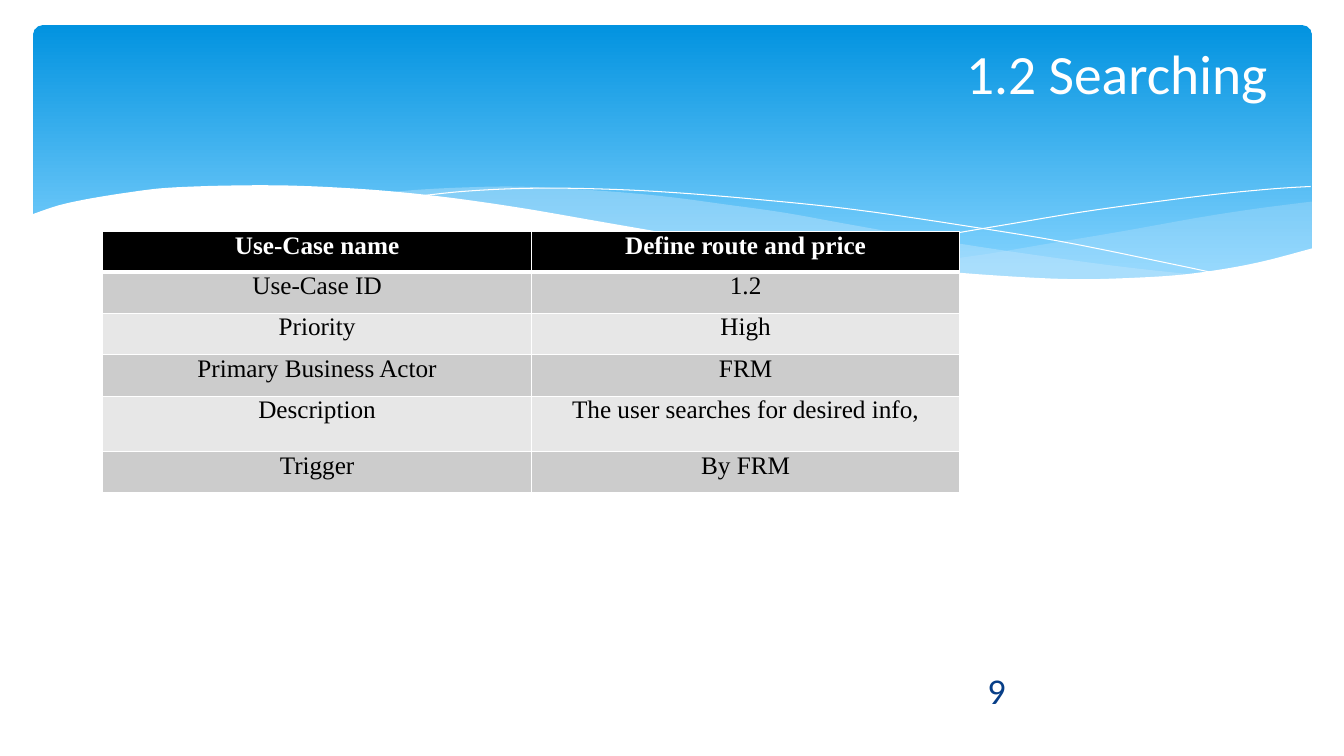
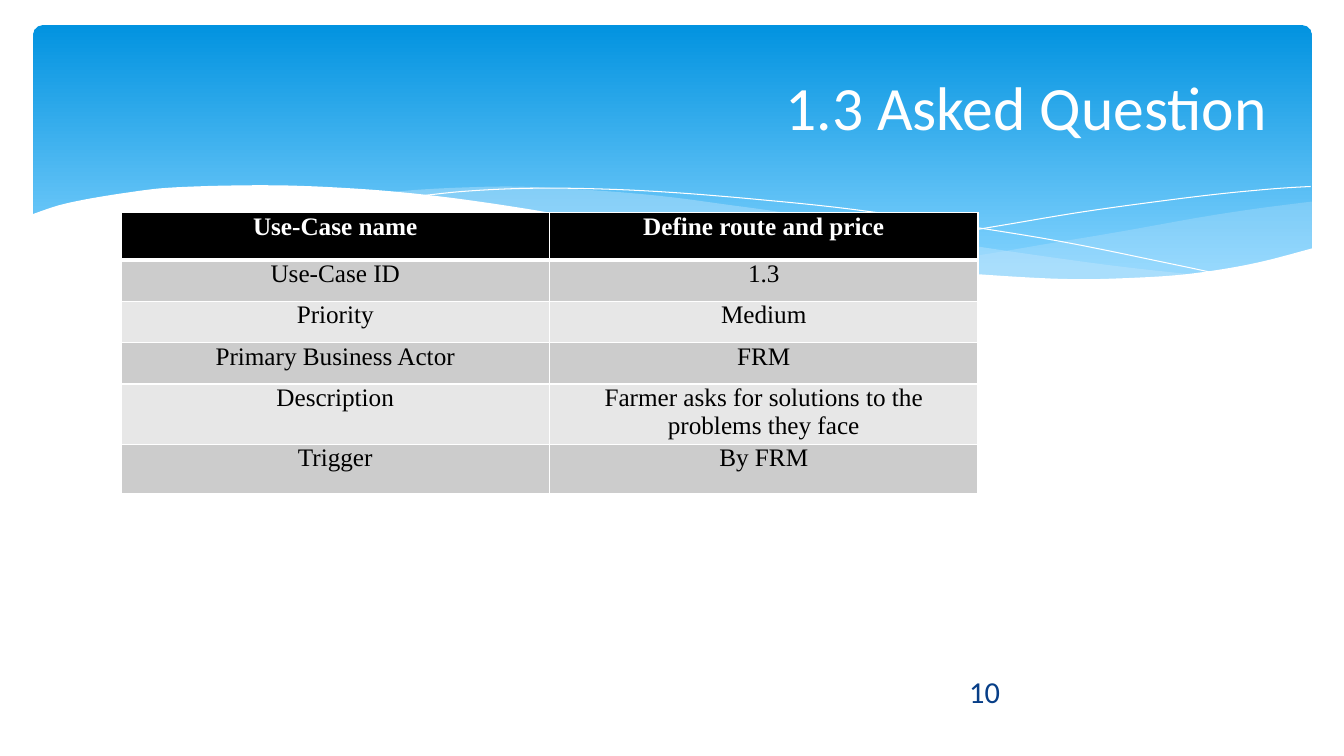
from lxml import etree
from pptx import Presentation
from pptx.dml.color import RGBColor
from pptx.enum.shapes import MSO_SHAPE
from pptx.enum.text import MSO_ANCHOR, PP_ALIGN
from pptx.oxml.ns import qn
from pptx.util import Emu, Pt

ROUNDED = MSO_SHAPE.ROUNDED_RECTANGLE
MIDDLE = MSO_ANCHOR.MIDDLE
CENTER, RIGHT = PP_ALIGN.CENTER, PP_ALIGN.RIGHT
PX = 9144  # 100 px to the inch

# Shared look
WHITE, BLACK, NAVY = "FFFFFF", "000000", "073E87"
BAND_TOP, BAND_END, MIST = "0293E0", "83D3FE", "C6E7FC"
ROW_FILLS = ("CCCCCC", "E7E7E7")
HEADING_FONT, TABLE_FONT = "Calibri", "Times New Roman"
COLUMN_WIDTH = 425

# Content
SLIDES = [
    {
        "title": "1.2 Searching", "title_size": 39.6, "title_height": 70,
        "number": "9", "number_size": 25.9, "number_box": (947, 661, 83, 48),
        "table_at": (102, 230), "row_heights": (40, 41, 41, 41, 55, 41),
        "rows": [
            ("Use-Case name", "Define route and price"),
            ("Use-Case ID", "1.2"),
            ("Priority", "High"),
            ("Primary Business Actor", "FRM"),
            ("Description", "The user searches for desired info,"),
            ("Trigger", "By FRM"),
        ],
    },
    {
        "title": "1.3 Asked Question", "title_size": 44, "title_height": 137,
        "number": "10", "number_size": 21.7, "number_box": (939, 666, 75, 40),
        "table_at": (120, 211), "row_heights": (47, 41, 41, 41, 55, 49),
        "rows": [
            ("Use-Case name", "Define route and price"),
            ("Use-Case ID", "1.3"),
            ("Priority", "Medium"),
            ("Primary Business Actor", "FRM"),
            ("Description", "Farmer asks for solutions to the problems they face"),
            ("Trigger", "By FRM"),
        ],
    },
]

# Waves: each outline is a chain of smooth curves, joined by straight edges
RIGHT_MIST = [
    [(1301, 200), (1246, 207), (1188, 216), (1110, 230), (1038, 242), (972, 253), (882, 265)],
    [(882, 265), (940, 271), (993, 275), (1041, 277), (1085, 278), (1126, 277),
     (1163, 274), (1196, 270), (1228, 265), (1257, 259), (1301, 247)],
]
LONG_MIST = [
    [(1190, 273), (1116, 265), (1034, 254), (941, 240), (839, 222), (778, 211), (721, 203),
     (669, 196), (619, 191), (560, 187), (506, 185), (459, 186), (418, 188), (382, 191)],
    [(382, 191), (431, 196), (483, 203), (539, 211), (599, 222), (706, 240), (802, 255),
     (887, 266), (963, 274), (1030, 277), (1090, 278), (1143, 277), (1190, 273)],
]
FALLING_LINE = [
    [(412, 195), (458, 190), (516, 187), (577, 187), (652, 190), (742, 197),
     (848, 208), (970, 226), (1060, 241), (1158, 261), (1210, 272)],
]
RISING_LINE = [
    [(818, 257), (870, 246), (927, 235), (997, 223), (1075, 210), (1155, 199),
     (1213, 192), (1267, 187), (1300, 185)],
]
WHITE_WAVE = [
    [(1303, 246), (1254, 259), (1213, 267), (1167, 273), (1116, 276), (1068, 277),
     (1015, 275), (944, 270), (863, 262), (772, 250), (671, 233), (596, 220),
     (521, 207), (453, 197), (390, 190), (333, 186), (282, 184), (235, 184), (194, 185),
     (158, 187), (127, 191), (101, 195), (79, 199), (61, 203), (48, 207), (31, 213)],
    [(31, 329), (1303, 329)],
]


def px(length):
    return Emu(round(length * PX))


def color(value):
    return RGBColor.from_string(value)


def smooth(points, steps=6):
    """Catmull-Rom samples through the points."""
    padded = [points[0], *points, points[-1]]
    samples = [points[0]]
    for before, start, end, after in zip(padded, padded[1:], padded[2:], padded[3:]):
        for step in range(1, steps + 1):
            t = step / steps
            samples.append(tuple(
                (2 * b + (c - a) * t + (2 * a - 5 * b + 4 * c - d) * t ** 2
                 + (3 * b - a - 3 * c + d) * t ** 3) / 2
                for a, b, c, d in zip(before, start, end, after)))
    return samples


def add_wave(page, curves, fill=None, opacity=100):
    """Filled outline, or a white hairline when there is no fill."""
    points = [(px(x), px(y)) for curve in curves for x, y in smooth(curve)]
    builder = page.shapes.build_freeform(*points[0])
    builder.add_line_segments(points[1:], close=fill is not None)
    wave = builder.convert_to_shape()
    wave.shadow.inherit = False
    if fill is None:
        wave.fill.background()
        wave.line.color.rgb = color(WHITE)
        wave.line.width = Pt(0)
        return
    wave.fill.solid()
    wave.fill.fore_color.rgb = color(fill)
    if opacity < 100:
        tint = wave.element.spPr.find(".//" + qn("a:srgbClr"))
        etree.SubElement(tint, qn("a:alpha"), val=str(opacity * 1000))
    wave.line.fill.background()


def add_band(page):
    band = page.shapes.add_shape(ROUNDED, px(33), px(25), px(1268), px(270))
    band.adjustments[0] = 0.034
    band.shadow.inherit = False
    band.line.fill.background()
    band.fill.gradient()
    band.fill.gradient_angle = 270
    stops = band.fill.gradient_stops
    for stop, position, value in zip(stops, (0, 0.9), (BAND_TOP, BAND_END)):
        stop.position = position
        stop.color.rgb = color(value)
    add_wave(page, RIGHT_MIST, MIST, 29)
    add_wave(page, LONG_MIST, MIST, 40)
    add_wave(page, FALLING_LINE)
    add_wave(page, RISING_LINE)
    add_wave(page, WHITE_WAVE, WHITE)


def style_paragraph(para, align, font, size, value, bold=False):
    para.alignment = align
    para.font.name = font
    para.font.size = Pt(size)
    para.font.color.rgb = color(value)
    para.font.bold = bold


def add_text(page, box, text, align, size, value):
    frame = page.shapes.add_textbox(*map(px, box)).text_frame
    frame.word_wrap = True
    frame.vertical_anchor = MIDDLE
    frame.text = text
    style_paragraph(frame.paragraphs[0], align, HEADING_FONT, size, value)


def set_borders(cell, widths):
    """White borders; they must come before the cell fill."""
    props = cell._tc.get_or_add_tcPr()
    for side, width in widths.items():
        line = etree.SubElement(props, qn("a:ln" + side), w=str(Pt(width)))
        solid = etree.SubElement(line, qn("a:solidFill"))
        etree.SubElement(solid, qn("a:srgbClr"), val=WHITE)


def add_use_case(page, rows, corner, heights):
    left, top = corner
    columns = len(rows[0])
    table = page.shapes.add_table(len(rows), columns, px(left), px(top),
                                  px(COLUMN_WIDTH * columns), px(sum(heights))).table
    table.horz_banding = False
    for column in table.columns:
        column.width = px(COLUMN_WIDTH)
    for index, (texts, height) in enumerate(zip(rows, heights)):
        header = index == 0
        table.rows[index].height = px(height)
        borders = {"L": 1, "R": 1, "T": 3 if index == 1 else 1, "B": 3 if header else 1}
        for column, text in enumerate(texts):
            cell = table.cell(index, column)
            cell.margin_left = cell.margin_right = px(7)
            cell.margin_top = cell.margin_bottom = 0
            set_borders(cell, borders)
            cell.fill.solid()
            cell.fill.fore_color.rgb = color(BLACK if header else ROW_FILLS[(index - 1) % 2])
            cell.text = text
            style_paragraph(cell.text_frame.paragraphs[0], CENTER, TABLE_FONT, 18,
                            WHITE if header else BLACK, header)


def main():
    deck = Presentation()
    deck.slide_width, deck.slide_height = px(1333), px(750)
    blank = deck.slide_layouts[6]
    for content in SLIDES:
        page = deck.slides.add_slide(blank)
        add_band(page)
        add_use_case(page, content["rows"], content["table_at"], content["row_heights"])
        add_text(page, content["number_box"], content["number"], CENTER,
                 content["number_size"], NAVY)
        add_text(page, (67, 37, 1200, content["title_height"]), content["title"], RIGHT,
                 content["title_size"], WHITE)
    deck.save("out.pptx")


if __name__ == "__main__":
    main()
